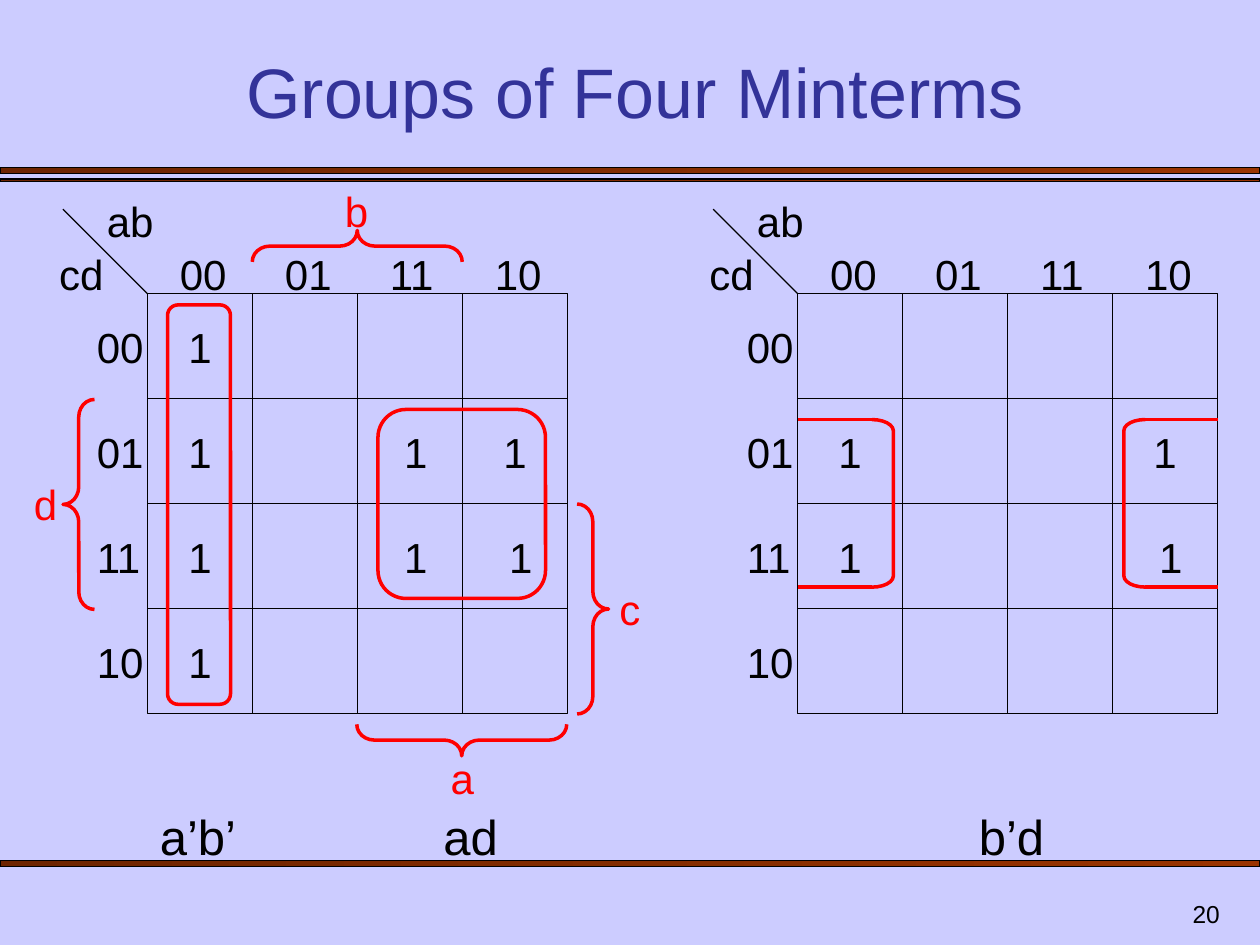
from lxml import etree
from pptx import Presentation, util as u
from pptx.dml.color import RGBColor
from pptx.enum import shapes, text
from pptx.oxml import ns

COLORS = {"background": "CCCCFF", "title": "333399", "ink": "000000",
          "mark": "FF0000", "bar_dark": "6D2400", "bar_light": "993300"}
CELL = 5 / 6
TOP = 2.33
LEFT_MAP, RIGHT_MAP = 1.17, 6.33
CODES = ["00", "01", "11", "10"]  # Gray code order
SHAPE = shapes.MSO_SHAPE
LEFT, CENTER, RIGHT = text.PP_ALIGN.LEFT, text.PP_ALIGN.CENTER, text.PP_ALIGN.RIGHT


def color(name):
    return RGBColor.from_string(COLORS[name])


class Sheet:
    """Style of the slide and the place where elements are added."""
    font = "Arial"
    thin, thick = 0.75, 2

    def __init__(self, deck):
        self.page = deck.slides.add_slide(deck.slide_layouts[6])
        self.page.background.fill.solid()
        self.page.background.fill.fore_color.rgb = color("background")
        self.target = self.page.shapes

    def start_group(self):
        self.target = self.page.shapes.add_group_shape().shapes

    def end_group(self):
        self.target = self.page.shapes

    def label(self, words, x, y, w=0.6, h=0.5, align=LEFT, size=24, ink="ink",
              anchor=text.MSO_ANCHOR.TOP):
        box = self.target.add_textbox(*map(u.Inches, (x, y, w, h)))
        frame = box.text_frame
        frame.word_wrap = True
        frame.vertical_anchor = anchor
        para = frame.paragraphs[0]
        para.alignment = align
        span = para.add_run()
        span.text = words
        span.font.name = self.font
        span.font.size = u.Pt(size)
        span.font.color.rgb = color(ink)

    def outline(self, kind, x, y, w, h, ink="mark", width=thick, adjust=(), turn=0):
        shape = self.target.add_shape(kind, *map(u.Inches, (x, y, w, h)))
        shape.shadow.inherit = False
        shape.fill.background()
        shape.line.color.rgb = color(ink)
        shape.line.width = u.Pt(width)
        shape.rotation = turn
        for index, value in enumerate(adjust):
            shape.adjustments[index] = value
        return shape

    def bar(self, y, h):
        bar = self.outline(SHAPE.RECTANGLE, 0, y, 10, h, "ink", self.thin)
        bar.fill.gradient()
        bar.fill.gradient_angle = 0
        for stop, name, position in zip(bar.fill.gradient_stops,
                                        ("bar_dark", "bar_light"), (0, 1)):
            stop.color.rgb = color(name)
            stop.position = position

    def line(self, x1, y1, x2, y2, ink="mark", width=thick):
        line = self.target.add_connector(shapes.MSO_CONNECTOR.STRAIGHT,
                                         *map(u.Inches, (x1, y1, x2, y2)))
        line.line.color.rgb = color(ink)
        line.line.width = u.Pt(width)
        etree.SubElement(line._element.spPr, ns.qn("a:effectLst"))

    def brace(self, x, y, turn):
        self.outline(SHAPE.LEFT_BRACE, x, y, 0.25, 2 * CELL,
                     adjust=(0.556, 0.5), turn=turn)

    def loop(self, x, y, w, h):
        self.outline(SHAPE.ROUNDED_RECTANGLE, x, y, w, h, adjust=(0.167,))

    def open_loop(self, x, edge, turn):
        """Bracket whose arms run out to the edge of the map."""
        y, w, h = 3.33, 0.17, 1.33
        self.outline(SHAPE.LEFT_BRACKET, x, y, w, h, adjust=(0.521,), turn=turn)
        arm = x if turn else x + w
        for level in (y, y + h):
            self.line(arm, level, edge, level)

    def karnaugh_map(self, left, ones):
        """Grid with headings; ones maps (row, column) to the cell's text."""
        for row in range(4):
            for column in range(4):
                self.outline(SHAPE.RECTANGLE, left + column * CELL, TOP + row * CELL,
                             CELL, CELL, "ink", self.thin)
        self.line(left - 0.67, TOP - 0.67, left, TOP, "ink", self.thin)
        self.label("ab", left - 0.42, 1.5, 0.67)
        self.label("cd", left - 0.83, 1.92, 0.58, align=RIGHT)
        for index, code in enumerate(CODES):
            self.label(code, left + 0.16 + index * CELL, 1.92)
            self.label(code, left - 0.5, TOP + 0.17 + index * CELL)
        for (row, column), words in ones.items():
            self.label(words, left + column * CELL, TOP + 0.17 + row * CELL,
                       CELL, align=CENTER)


def main():
    deck = Presentation()
    deck.slide_width, deck.slide_height = u.Inches(10), u.Inches(7.5)
    sheet = Sheet(deck)

    # Frame: bars, page number, title
    for y, h in ((1.33, 0.05), (1.42, 0.02), (6.83, 0.05)):
        sheet.bar(y, h)
    bottom = text.MSO_ANCHOR.BOTTOM
    sheet.label("20", 7.7, 7, 2.08, 0.42, RIGHT, 14, anchor=bottom)
    sheet.label("Groups of Four Minterms", 0.58, 0.42, 8.92, 0.68, CENTER, 40,
                "title", bottom)

    # Left map: a column and a square
    sheet.start_group()
    ones = {(row, 0): "1" for row in range(4)}
    ones.update({(1, 2): " 1", (1, 3): "1", (2, 2): " 1", (2, 3): " 1"})
    sheet.karnaugh_map(LEFT_MAP, ones)
    sheet.loop(1.33, 2.42, 0.5, 3.17)
    sheet.loop(3, 3.25, 1.33, 1.5)
    sheet.end_group()

    # Right map: a square that wraps around the edges
    sheet.start_group()
    sheet.karnaugh_map(RIGHT_MAP, {(1, 0): "1", (2, 0): "1", (1, 3): "1", (2, 3): " 1"})
    sheet.open_loop(8.92, RIGHT_MAP + 4 * CELL, 0)
    sheet.open_loop(6.92, RIGHT_MAP, 180)
    sheet.end_group()

    # Product terms
    for term, x in (("a’b’", 1.17), ("ad", 3.42), ("b’d", 7.67)):
        sheet.label(term, x, 6.35, 0.92, 0.57, size=28)

    # Braces that show where each variable is 1
    for name, x, y, align, brace_x, brace_y, turn in (
            ("a", 3.42, 5.92, CENTER, 3.54, 5.04, 270),
            ("b", 2.58, 1.42, CENTER, 2.71, 1.12, 90),
            ("c", 4.75, 4.58, CENTER, 4.58, 4, 180),
            ("d", 0.17, 3.75, LEFT, 0.5, 3.17, 0)):
        sheet.brace(brace_x, brace_y, turn)
        sheet.label(name, x, y, 0.5, align=align, ink="mark")

    deck.save("out.pptx")


if __name__ == "__main__":
    main()
